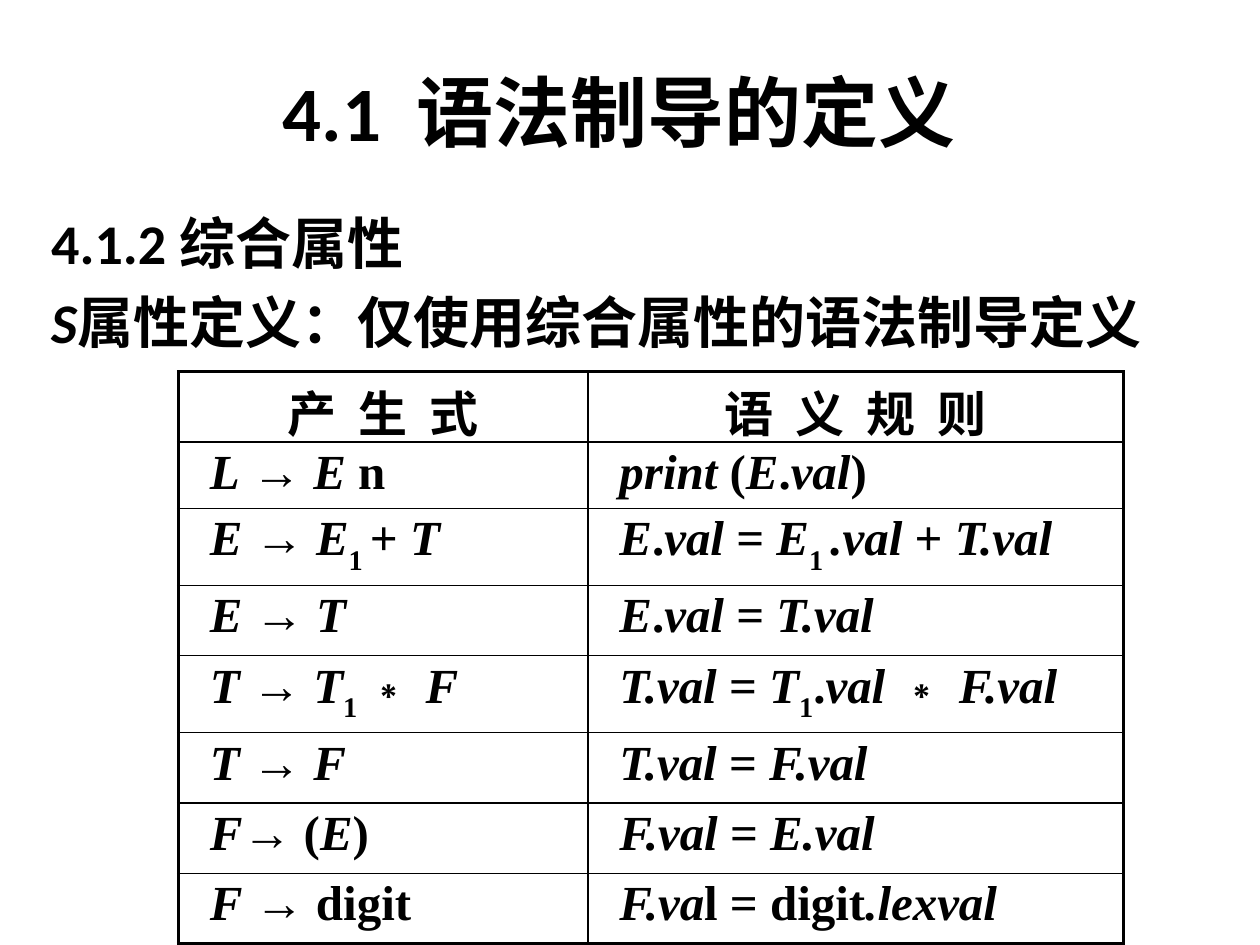
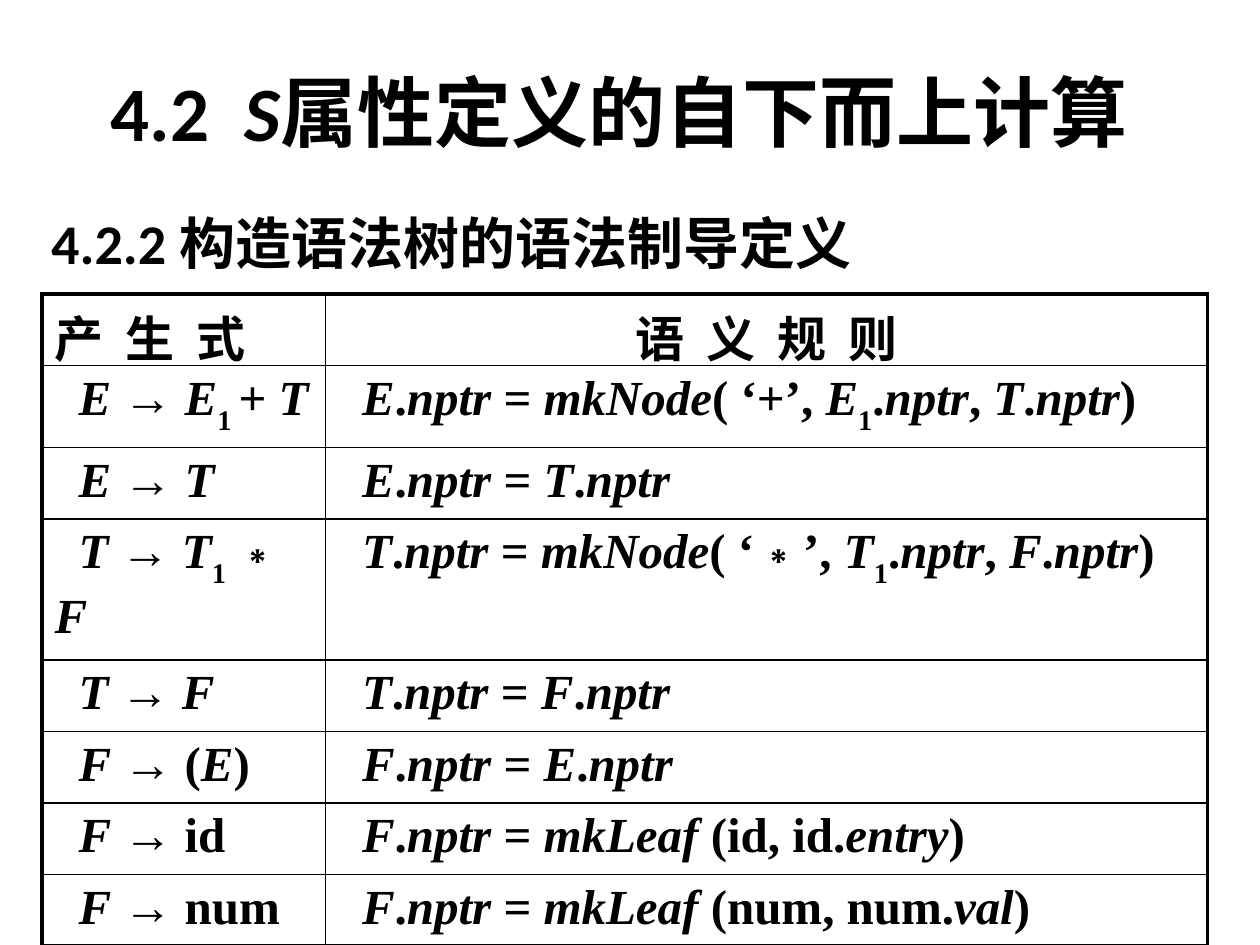
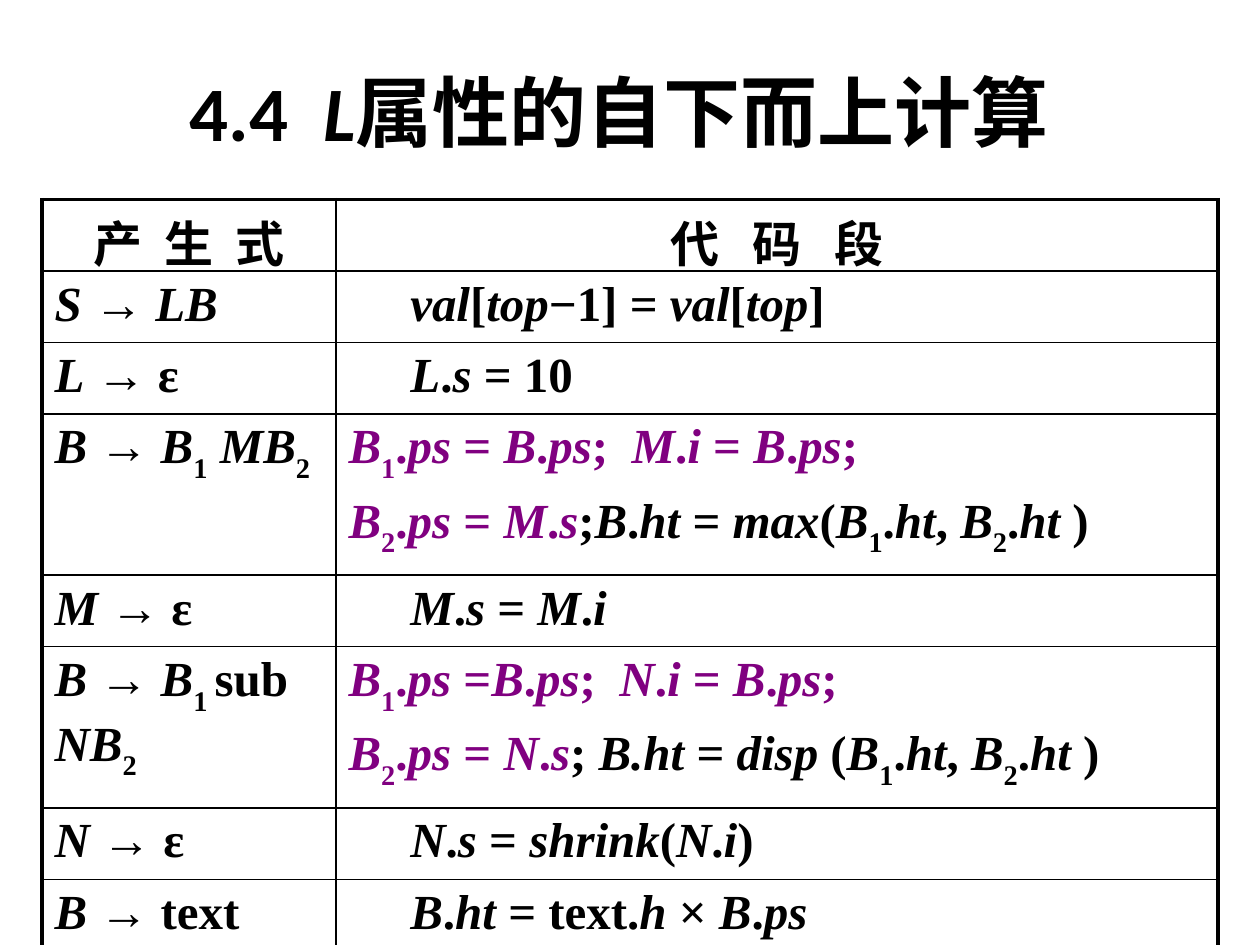
from dataclasses import dataclass
from typing import Any

from lxml import etree
from pptx import Presentation
from pptx.dml.color import RGBColor
from pptx.enum.text import MSO_ANCHOR, PP_ALIGN
from pptx.oxml.ns import qn
from pptx.util import Inches, Pt

LEFT, CENTER, JUSTIFY = PP_ALIGN.LEFT, PP_ALIGN.CENTER, PP_ALIGN.JUSTIFY
TOP, MIDDLE = MSO_ANCHOR.TOP, MSO_ANCHOR.MIDDLE

GRID_COLUMNS, GRID_ROWS = 120, 90
UNIT = Inches(10) // GRID_COLUMNS


@dataclass(frozen=True)
class TextStyle:
    size: float
    latin: str
    asian: str = ""
    tracking: float = 0


@dataclass(frozen=True)
class Theme:
    paper: str = "FFFFFF"
    ink: str = "000000"
    accent: str = "800080"
    title: TextStyle = TextStyle(44, "Calibri", "Noto Sans CJK SC")
    body: TextStyle = TextStyle(32, "Calibri", "Noto Sans CJK SC")
    header: TextStyle = TextStyle(28, "Noto Sans CJK SC", "Noto Sans CJK SC", 3.15)
    wide_header: TextStyle = TextStyle(28, "Noto Sans CJK SC", "Noto Sans CJK SC", 6.3)
    formula: TextStyle = TextStyle(28, "Times New Roman")
    outer_line: float = 2.25
    inner_line: float = 1
    space_before: float = 0.2
    body_line: float = 1.2


THEME = Theme()


@dataclass(frozen=True)
class Frame:
    """A place on the grid, in columns and rows."""
    left: float
    top: float
    width: float
    height: float

    def lengths(self) -> list[int]:
        return [round(n * UNIT) for n in (self.left, self.top, self.width, self.height)]


@dataclass(frozen=True)
class Header:
    text: str
    align: Any = CENTER
    style: TextStyle = THEME.header


@dataclass(frozen=True)
class RuleTable:
    left: float
    top: float
    columns: tuple[float, float]
    row_heights: list[float]
    insets: tuple[float, float]
    indents: tuple[float, float]
    headers: tuple[Header, Header]
    rules: list[tuple[str, str]]


@dataclass(frozen=True)
class Page:
    title: str
    title_frame: Frame
    body: list[str]
    table: RuleTable


def apply(target: Any, values: dict[str, Any]) -> None:
    for name, value in values.items():
        setattr(target, name, value)


def add_span(para: Any, text: str, style: TextStyle, marks: set[str], tracking: float) -> None:
    span = para.add_run()
    span.text = text
    apply(span.font, {"size": Pt(style.size), "name": style.latin,
                      "bold": True, "italic": "*" in marks})
    color = THEME.accent if "#" in marks else THEME.ink
    span.font.color.rgb = RGBColor.from_string(color)
    props = span.font._rPr
    props.set("lang", "zh-CN")
    if "~" in marks:
        props.set("baseline", "-30000")
    if tracking:
        props.set("spc", str(round(tracking * 100)))
    if style.asian:
        asian = etree.Element(qn("a:ea"), typeface=style.asian)
        props.find(qn("a:latin")).addnext(asian)


def write_marked(para: Any, text: str, style: TextStyle) -> None:
    """Toggle marks: * italic, ~ subscript, # accent; ^ is a double-width space."""
    marks: set[str] = set()
    pending = ""
    for char in text:
        if char not in "*~#^":
            pending += char
            continue
        if pending:
            add_span(para, pending, style, marks, style.tracking)
            pending = ""
        if char == "^":
            add_span(para, " ", style, marks, style.size * 0.23)
        else:
            marks ^= {char}
    if pending:
        add_span(para, pending, style, marks, style.tracking)


def fill_text(frame: Any, lines: list[str], style: TextStyle, align: Any = LEFT,
              margin: float = 0, indent: float = 0, line_height: float = 0) -> None:
    frame.word_wrap = True
    for index, line in enumerate(lines):
        para = frame.add_paragraph() if index else frame.paragraphs[0]
        para.alignment = align
        if index:
            para.space_before = Pt(style.size * THEME.space_before)
        if line_height:
            para.line_spacing = Pt(style.size * line_height)
        props = para._p.get_or_add_pPr()
        props.set("marL", str(Inches(margin)))
        props.set("indent", str(Inches(indent)))
        write_marked(para, line, style)


def add_text(slide: Any, place: Frame, lines: list[str], style: TextStyle,
             anchor: Any, **layout: Any) -> None:
    box = slide.shapes.add_textbox(*place.lengths())
    box.text_frame.vertical_anchor = anchor
    fill_text(box.text_frame, lines, style, **layout)


def set_borders(cell: Any, outer_sides: dict[str, bool]) -> None:
    props = cell._tc.get_or_add_tcPr()
    for side, is_outer in outer_sides.items():
        width = THEME.outer_line if is_outer else THEME.inner_line
        line = etree.SubElement(props, qn(f"a:ln{side}"), w=str(Pt(width)))
        fill = etree.SubElement(line, qn("a:solidFill"))
        etree.SubElement(fill, qn("a:srgbClr"), val=THEME.ink)


def add_rule_table(slide: Any, spec: RuleTable) -> None:
    place = Frame(spec.left, spec.top, sum(spec.columns), sum(spec.row_heights))
    last = len(spec.rules)
    table = slide.shapes.add_table(last + 1, 2, *place.lengths()).table
    apply(table, {"first_row": False, "horz_banding": False})
    for column, width in zip(table.columns, spec.columns):
        column.width = round(width * UNIT)
    for row, height in zip(table.rows, spec.row_heights):
        row.height = round(height * UNIT)

    side, edge = map(Inches, spec.insets)
    for r in range(last + 1):
        for c in range(2):
            cell = table.cell(r, c)
            apply(cell, {"margin_left": side, "margin_right": side,
                         "margin_top": edge, "margin_bottom": edge})
            set_borders(cell, {"L": c == 0, "R": c == 1, "T": r == 0, "B": r == last})
            cell.fill.solid()
            cell.fill.fore_color.rgb = RGBColor.from_string(THEME.paper)
            if r == 0:
                header = spec.headers[c]
                fill_text(cell.text_frame, [header.text], header.style, header.align)
                continue
            lines = spec.rules[r - 1][c].split("\n")
            several = len(lines) > 1
            fill_text(cell.text_frame, lines, THEME.formula, JUSTIFY if several else LEFT,
                      indent=0 if several else spec.indents[c])


def add_page(deck: Any, page: Page) -> None:
    slide = deck.slides.add_slide(deck.slide_layouts[6])
    slide.background.fill.solid()
    slide.background.fill.fore_color.rgb = RGBColor.from_string(THEME.paper)
    add_text(slide, page.title_frame, [page.title], THEME.title, MIDDLE, align=CENTER)
    if page.body:
        add_text(slide, BODY_FRAME, page.body, THEME.body, TOP,
                 margin=0.38, indent=-0.38, line_height=THEME.body_line)
    add_rule_table(slide, page.table)


BODY_FRAME = Frame(3.7, 19.3, 112.5, 66)
WIDE_TITLE = Frame(4, 3, 110, 15)
PRODUCTION = "产 生 式"
SEMANTIC_RULE = Header("语 义 规 则")

PAGES = [
    Page(
        "4.1^语法制导的定义",
        Frame(8, 3, 102, 15),
        ["4.1.2 综合属性", "*S*属性定义：仅使用综合属性的语法制导定义"],
        RuleTable(
            17, 35.4, (39, 51), [6.7, 6.3] + [6.7] * 6, (0.06, 0.03), (0.19, 0.19),
            (Header(PRODUCTION), SEMANTIC_RULE),
            [
                ("*L* → *E* n", "*print* (*E*.*val*)"),
                ("*E* → *E*~1 ~+ *T*", "*E*.*val* = *E*~1 ~*.val* + *T.val*"),
                ("*E* → *T*", "*E*.*val* = *T.val*"),
                ("*T* → *T*~1 ~∗ *F*", "*T.val* = *T*~1~.*val *∗ *F.val*"),
                ("*T* → *F*", "*T.val* = *F.val*"),
                ("*F*→ (*E*)", "*F.val* = *E.val*"),
                ("*F* → digit", "*F.va*l = digit*.lexval*"),
            ],
        ),
    ),
    Page(
        "4.2^*S*属性定义的自下而上计算",
        WIDE_TITLE,
        ["4.2.2 构造语法树的语法制导定义"],
        RuleTable(
            4, 28, (27, 84), [6.8] * 8, (0.1, 0.05), (0.19, 0.19),
            (Header(PRODUCTION, LEFT), SEMANTIC_RULE),
            [
                ("*E* → *E*~1 ~+ *T*",
                 "*E*.*nptr* = *mkNode*( ‘+’, *E*~1~.*nptr*, *T*.*nptr*)"),
                ("*E* → *T*", "*E*.*nptr* = *T*.*nptr*"),
                ("*T* → *T*~1 ~∗ *F*",
                 "*T*.*nptr* = *mkNode*( ‘∗’, *T*~1~.*nptr*, *F*.*nptr*)"),
                ("*T* → *F*", "*T*.*nptr* = *F*.*nptr*"),
                ("*F* → (*E*)", "*F*.*nptr* = *E*.*nptr*"),
                ("*F* → id", "*F*.*nptr* = *mkLeaf *(id, id.*entry*)"),
                ("*F* → num", "*F*.*nptr* = *mkLeaf *(num, num.*val*)"),
            ],
        ),
    ),
    Page(
        "4.4^*L*属性的自下而上计算",
        WIDE_TITLE,
        [],
        RuleTable(
            4, 19, (28, 84), [6.8, 6.8, 6.8, 13.6, 6.8, 13.6, 6.8, 6.8],
            (0.1, 0.05), (0, 0.49),
            (Header(PRODUCTION), Header("代 码 段", style=THEME.wide_header)),
            [
                ("*S* → *LB*", "*val*[*top*−1] = *val*[*top*]"),
                ("*L* → ε", "*L*.*s* = 10"),
                ("*B* → *B*~1~ *MB*~2~",
                 "#*B*~1~.*ps* = *B*.*ps*;^*M*.*i* = *B*.*ps*;#\n"
                 "#*B*~2~.*ps* = *M*.*s*#;*B*.*ht* = *max*(*B*~1~.*ht*, *B*~2~.*ht *)"),
                ("*M* → ε", "*M*.*s* = *M*.*i*"),
                ("*B* → *B*~1 ~sub *NB*~2~",
                 "#*B*~1~.*ps* =*B*.*ps*;^*N*.*i* = *B*.*ps*;#\n"
                 "#*B*~2~.*ps* = *N*.*s*#; *B.ht* = *disp* (*B*~1~.*ht*, *B*~2~.*ht *)"),
                ("*N* → ε", "*N*.*s* = *shrink*(*N*.*i*)"),
                ("*B* → text", "*B*.*ht* = text.*h* × *B*.*ps*"),
            ],
        ),
    ),
]


def main() -> None:
    deck = Presentation()
    apply(deck, {"slide_width": GRID_COLUMNS * UNIT, "slide_height": GRID_ROWS * UNIT})
    for page in PAGES:
        add_page(deck, page)
    deck.save("out.pptx")


if __name__ == "__main__":
    main()
